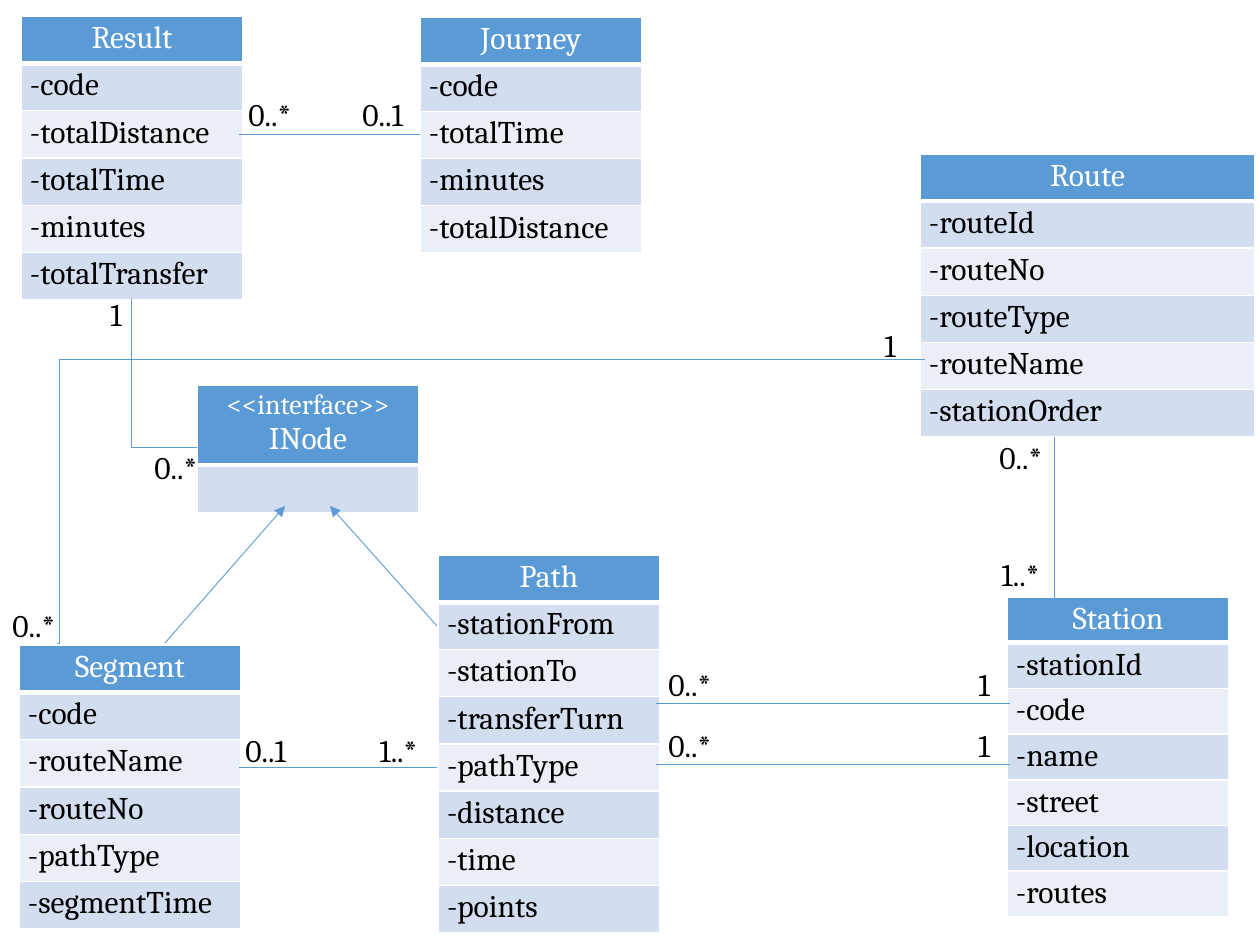
from typing import NamedTuple

from lxml import etree
from pptx import Presentation
from pptx.dml.color import RGBColor
from pptx.enum.shapes import MSO_CONNECTOR
from pptx.enum.text import MSO_AUTO_SIZE, PP_ALIGN
from pptx.oxml.ns import qn
from pptx.util import Pt

PX = 914400 / 126
FONT = "Cambria"
WHITE = RGBColor(0xFF, 0xFF, 0xFF)
BLACK = RGBColor(0x00, 0x00, 0x00)
BLUE = RGBColor(0x5B, 0x9B, 0xD5)
BANDS = (RGBColor(0xD2, 0xDE, 0xEF), RGBColor(0xEA, 0xEF, 0xF7))
STRAIGHT, ELBOW = MSO_CONNECTOR.STRAIGHT, MSO_CONNECTOR.ELBOW
LEFT, CENTER = PP_ALIGN.LEFT, PP_ALIGN.CENTER
NO_GROW, GROW = MSO_AUTO_SIZE.NONE, MSO_AUTO_SIZE.SHAPE_TO_FIT_TEXT
PAD = {"margin_left": 9, "margin_right": 9, "margin_top": 4, "margin_bottom": 4}
WIDE = {"1": 43, "0..*": 71, "1..*": 71, "0..1": 74}


class Box(NamedTuple):
    name: str
    x: int
    y: int
    w: int
    h: int
    rows: str
    head: int = 0  # title row height, 0 for an equal share


class Link(NamedTuple):
    x1: int
    y1: int
    x2: int
    y2: int
    bend: str = ""
    adj: int = 0
    arrow: bool = False


class Label(NamedTuple):
    text: str
    x: int
    y: int


BOXES = [
    Box("Station", 1007, 597, 222, 320,
        "-stationId -code -name -street -location -routes"),
    Box("Path", 438, 555, 222, 378,
        "-stationFrom -stationTo -transferTurn -pathType -distance -time -points"),
    Box("Route", 920, 154, 335, 283,
        "-routeId -routeNo -routeType -routeName -stationOrder"),
    Box("Segment", 19, 645, 222, 284,
        "-code -routeName -routeNo -pathType -segmentTime"),
    Box("<<interface>>\nINode", 197, 385, 222, 128, "", 80),
    Box("Journey", 420, 17, 222, 236,
        "-code -totalTime -minutes -totalDistance"),
    Box("Result", 21, 16, 222, 284,
        "-code -totalDistance -totalTime -minutes -totalTransfer"),
]

LINKS = [
    Link(656, 703, 1010, 703),
    Link(656, 764, 1010, 764),
    Link(1054, 437, 1054, 599),
    Link(239, 134, 420, 134),
    Link(239, 767, 437, 767),
    Link(165, 643, 285, 506, arrow=True),
    Link(437, 626, 330, 506, arrow=True),
    Link(197, 448, 132, 299, "bentConnector2"),
    Link(925, 359, 57, 643, "bentConnector3", 99700),
]

LABELS = [
    Label("0..*", 656, 659), Label("1", 966, 659),
    Label("0..*", 656, 720), Label("1", 966, 720),
    Label("1..*", 989, 549), Label("0..*", 987, 432),
    Label("0..*", 0, 600), Label("1", 872, 320),
    Label("1", 98, 289), Label("0..*", 142, 442),
    Label("0..*", 236, 89), Label("0..1", 350, 89),
    Label("0..1", 233, 725), Label("1..*", 367, 725),
]


def emu(px: float) -> int:
    return round(px * PX)


def put(item, **vals) -> None:
    for key, val in vals.items():
        setattr(item, key, val)


def write(frame, text: str, tone: RGBColor, align=LEFT) -> None:
    frame.text = text
    for para in frame.paragraphs:
        size = 16 if para.text.startswith("<<") else 18
        para.alignment = align
        put(para.font, name=FONT, size=Pt(size), bold=False)
        para.font.color.rgb = tone


def edge(cell, side: str, pts: int) -> None:
    line = etree.SubElement(cell._tc.get_or_add_tcPr(), qn("a:" + side), w=str(Pt(pts)))
    fill = etree.SubElement(line, qn("a:solidFill"))
    etree.SubElement(fill, qn("a:srgbClr"), val=str(WHITE))


def draw_box(slide, box: Box) -> None:
    rows = box.rows.split() or [""]
    head = box.head or box.h / (len(rows) + 1)
    step = (box.h - head) / len(rows)
    spot = map(emu, (box.x, box.y, box.w, box.h))
    grid = slide.shapes.add_table(len(rows) + 1, 1, *spot).table
    for i, text in enumerate([box.name] + rows):
        top = i == 0
        grid.rows[i].height = emu(head if top else step)
        cell = grid.cell(i, 0)
        put(cell, **{key: emu(val) for key, val in PAD.items()})
        for side in ("lnL", "lnR", "lnT", "lnB"):
            edge(cell, side, 3 if top and side == "lnB" else 1)
        cell.fill.solid()
        cell.fill.fore_color.rgb = BLUE if top else BANDS[(i - 1) % 2]
        write(cell.text_frame, text, WHITE if top else BLACK, CENTER if top else LEFT)


def draw_link(slide, link: Link) -> None:
    kind = ELBOW if link.bend else STRAIGHT
    line = slide.shapes.add_connector(kind, *map(emu, link[:4]))
    line.line.width = Pt(0.5)
    line.line.color.rgb = BLUE
    prop = line.element.spPr
    if link.bend:
        geom = prop.find(qn("a:prstGeom"))
        geom.set("prst", link.bend)
        if link.adj:
            etree.SubElement(geom.find(qn("a:avLst")), qn("a:gd"),
                             name="adj1", fmla=f"val {link.adj}")
    if link.arrow:
        etree.SubElement(prop.find(qn("a:ln")), qn("a:tailEnd"), type="triangle")
    etree.SubElement(prop, qn("a:effectLst"))


def draw_label(slide, label: Label) -> None:
    spot = map(emu, (label.x, label.y, WIDE[label.text], 50))
    frame = slide.shapes.add_textbox(*spot).text_frame
    write(frame, label.text, BLACK)
    put(frame, word_wrap=False, auto_size=GROW)


def main() -> None:
    deck = Presentation()
    put(deck, slide_width=emu(1260), slide_height=emu(945))
    slide = deck.slides.add_slide(deck.slide_layouts[6])
    # Class boxes
    for box in BOXES:
        draw_box(slide, box)
    # Associations and inheritance
    for link in LINKS:
        draw_link(slide, link)
    # Multiplicities
    for label in LABELS:
        draw_label(slide, label)
    deck.save("out.pptx")


if __name__ == "__main__":
    main()
